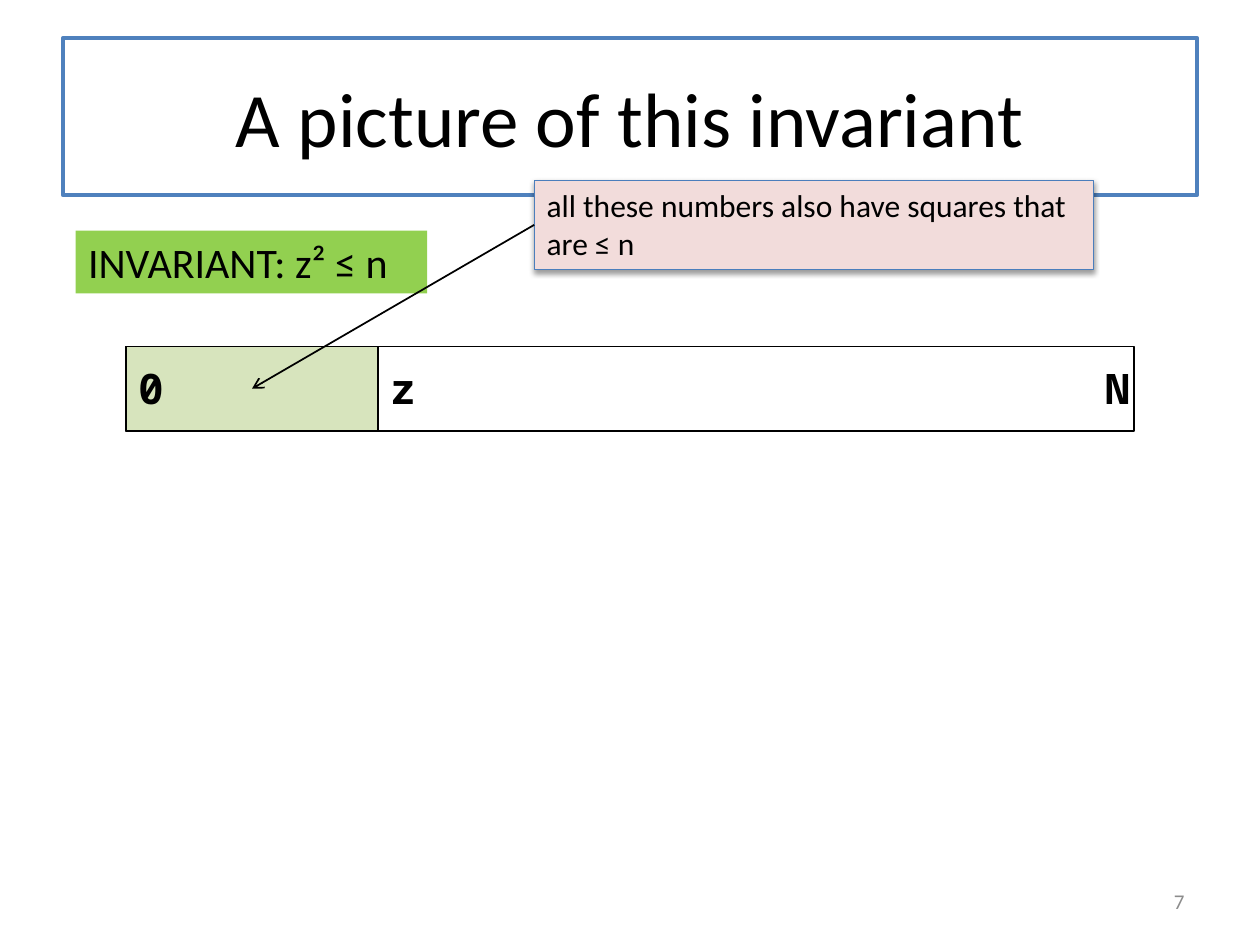
"""Build the slide that pictures the loop invariant on a number line."""
from lxml import etree
from pptx import Presentation, util as u
from pptx.dml.color import RGBColor
from pptx.enum import shapes, text
from pptx.oxml import ns, parse_xml

COLOURS = {
    "ink": "000000", "paper": "FFFFFF", "title_line": "4F81BD", "number": "8C8C8C",
    "checked": "D7E4BD", "invariant": "92D050", "callout": "F2DCDB", "callout_line": "4B7EBC",
}
BODY, MONO = "Calibri", "Noto Sans Mono"
TITLE = "A picture of this invariant"
INVARIANT = "INVARIANT: z² ≤ n"
CALLOUT = "all these numbers also have squares that are ≤ n"
PAGE_NUMBER = "7"
BAR_LEFT, BAR_TOP, BAR_WIDTH, BAR_HEIGHT = 1, 2.75, 8, 0.67
CHECKED_WIDTH = 2
SPLIT = BAR_LEFT + CHECKED_WIDTH
MARKS = [("0", BAR_LEFT), ("z", SPLIT), ("N", 8.67)]
CALLOUT_AREA = (4.24, 1.43, 4.44, 0.71)


def colour(name):
    return RGBColor.from_string(COLOURS[name])


def write(shape, words, size, font=BODY, ink="ink", bold=False, wrap=True,
          align=text.PP_ALIGN.LEFT, anchor=text.MSO_ANCHOR.TOP):
    frame = shape.text_frame
    frame.word_wrap = wrap
    frame.auto_size = text.MSO_AUTO_SIZE.NONE
    frame.vertical_anchor = anchor
    para = frame.paragraphs[0]
    para.alignment = align
    span = para.add_run()
    span.text = words
    span.font.size, span.font.name, span.font.bold = u.Pt(size), font, bold
    span.font.color.rgb = colour(ink)


def paint(shape, fill=None, line=None, width=1):
    if fill:
        shape.fill.solid()
        shape.fill.fore_color.rgb = colour(fill)
    else:
        shape.fill.background()
    if line:
        shape.line.color.rgb = colour(line)
        shape.line.width = u.Pt(width)
    else:
        shape.line.fill.background()


def add_box(page, area, **style):
    box = page.shapes.add_shape(shapes.MSO_SHAPE.RECTANGLE, *map(u.Inches, area))
    box.shadow.inherit = False
    paint(box, **style)
    return box


def add_label(page, area, words, size, **style):
    label = page.shapes.add_textbox(*map(u.Inches, area))
    write(label, words, size, **style)


def add_line(page, start, end, width, arrow=False):
    line = page.shapes.add_connector(
        shapes.MSO_CONNECTOR.STRAIGHT, *map(u.Inches, start + end))
    line.line.color.rgb = colour("ink")
    line.line.width = u.Pt(width)
    if arrow:
        etree.SubElement(line.line._get_or_add_ln(), ns.qn("a:tailEnd"), type="arrow")
    etree.SubElement(line._element.spPr, ns.qn("a:effectLst"))


def add_shadow(box):
    effects = box._element.spPr.find(ns.qn("a:effectLst"))
    effects.append(parse_xml(
        f'<a:outerShdw {ns.nsdecls("a")} blurRad="{u.Pt(3.1)}" dist="{u.Pt(1.6)}" '
        f'dir="5400000" rotWithShape="0"><a:srgbClr val="{COLOURS["ink"]}">'
        '<a:alpha val="38000"/></a:srgbClr></a:outerShdw>'))


def main():
    deck = Presentation()
    deck.slide_width, deck.slide_height = u.Inches(10), u.Inches(7.5)
    page = deck.slides.add_slide(deck.slide_layouts[5])

    add_box(page, (BAR_LEFT, BAR_TOP, CHECKED_WIDTH, BAR_HEIGHT), fill="checked", line="ink")
    title = page.shapes.title
    title.left, title.top, title.width, title.height = map(u.Inches, (0.5, 0.3, 9, 1.25))
    paint(title, "paper", "title_line", 2.25)
    write(title, TITLE, 44, align=text.PP_ALIGN.CENTER, anchor=text.MSO_ANCHOR.MIDDLE)
    add_label(page, (7.17, 6.95, 2.33, 0.4), PAGE_NUMBER, 12, ink="number",
              align=text.PP_ALIGN.RIGHT, anchor=text.MSO_ANCHOR.MIDDLE)

    add_box(page, (BAR_LEFT, BAR_TOP, BAR_WIDTH, BAR_HEIGHT), line="ink")
    add_line(page, (SPLIT, BAR_TOP), (SPLIT, BAR_TOP + BAR_HEIGHT), 0.75)
    for mark, left in MARKS:
        add_label(page, (left, BAR_TOP + 0.08, 0.39, 0.5), mark, 24,
                  font=MONO, bold=True, wrap=False)

    invariant = add_box(page, (0.6, 1.83, 2.79, 0.5), fill="invariant")
    write(invariant, INVARIANT, 24)
    callout = add_box(page, CALLOUT_AREA, fill="callout", line="callout_line", width=0.75)
    add_shadow(callout)
    write(callout, CALLOUT, 18)
    left, top, _, height = CALLOUT_AREA
    add_line(page, (left, top + height / 2),
             (BAR_LEFT + CHECKED_WIDTH / 2, BAR_TOP + BAR_HEIGHT / 2), 1, arrow=True)

    deck.save("out.pptx")


if __name__ == "__main__":
    main()
